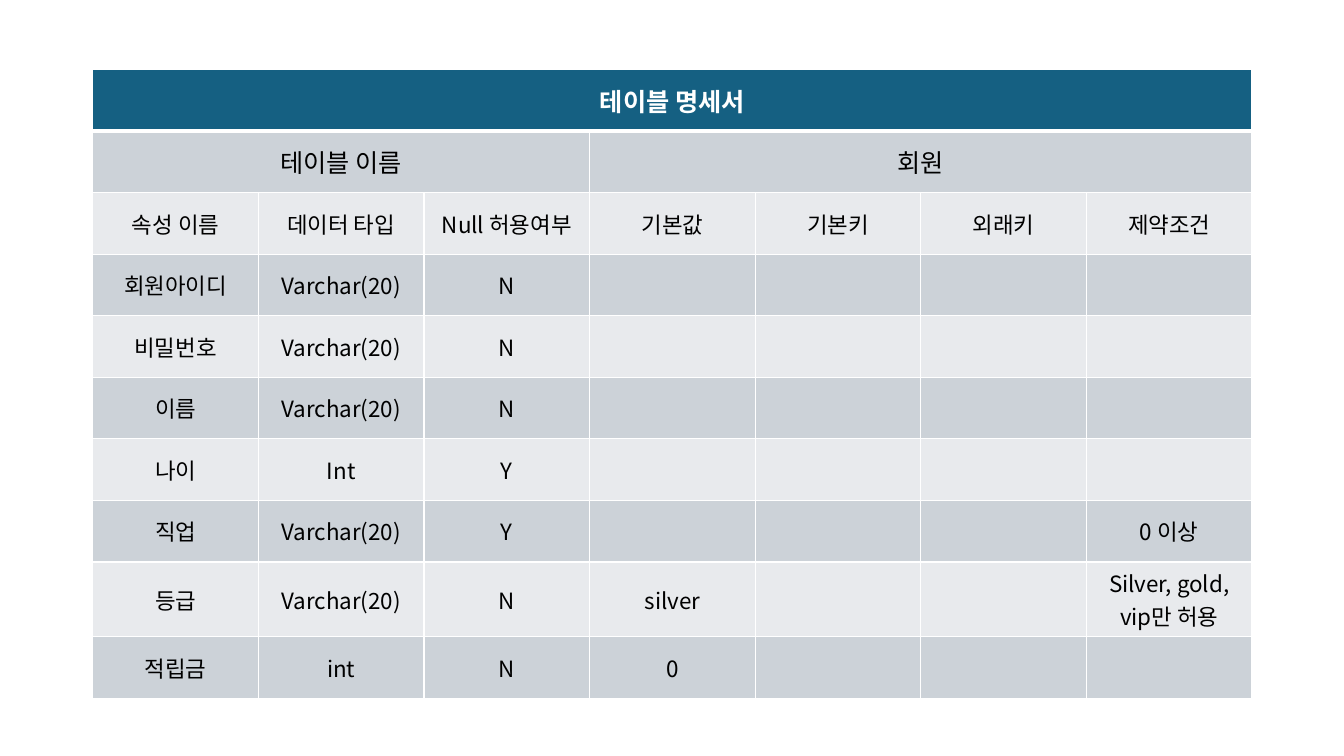
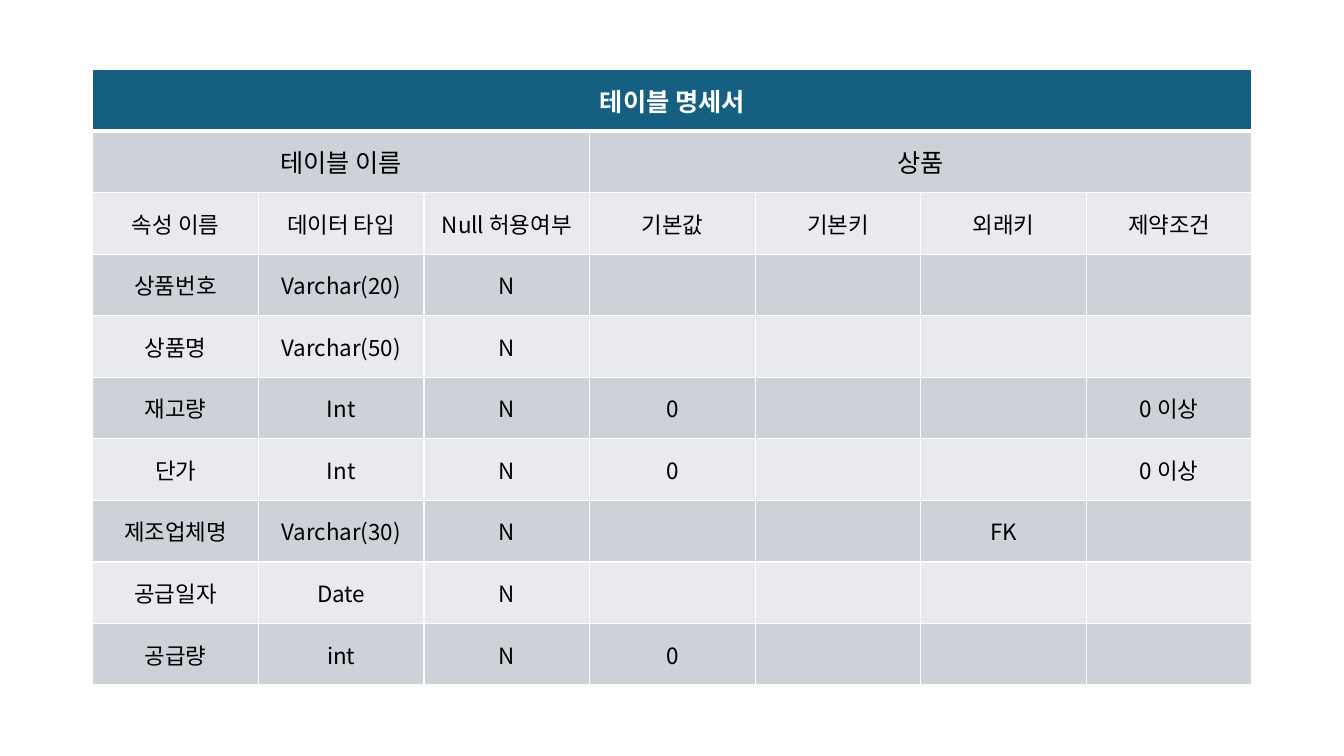
from pptx import Presentation
from pptx.dml.color import RGBColor as Rgb
from pptx.enum.text import MSO_ANCHOR as Anchor, PP_ALIGN as Align
from pptx.oxml.ns import qn
from pptx.util import Inches, Pt
from lxml.etree import SubElement as Sub

COLORS = {"head": "156082", "dark": "CCD2D8", "light": "E8EAED",
          "white": "FFFFFF", "black": "000000"}
FONT = "Noto Sans CJK KR"
TITLE = "테이블 명세서"
LABEL = "테이블 이름"
HEADS = ["속성 이름", "데이터 타입", "Null 허용여부", "기본값", "기본키", "외래키", "제약조건"]

# Each table: name and attribute rows, in the order of HEADS
TABLES = [
    ("회원", [
        ["회원아이디", "Varchar(20)", "N", "", "", "", ""],
        ["비밀번호", "Varchar(20)", "N", "", "", "", ""],
        ["이름", "Varchar(20)", "N", "", "", "", ""],
        ["나이", "Int", "Y", "", "", "", ""],
        ["직업", "Varchar(20)", "Y", "", "", "", "0 이상"],
        ["등급", "Varchar(20)", "N", "silver", "", "", "Silver, gold, vip만 허용"],
        ["적립금", "int", "N", "0", "", "", ""],
    ]),
    ("상품", [
        ["상품번호", "Varchar(20)", "N", "", "", "", ""],
        ["상품명", "Varchar(50)", "N", "", "", "", ""],
        ["재고량", "Int", "N", "0", "", "", "0 이상"],
        ["단가", "Int", "N", "0", "", "", "0 이상"],
        ["제조업체명", "Varchar(30)", "N", "", "", "FK", ""],
        ["공급일자", "Date", "N", "", "", "", ""],
        ["공급량", "int", "N", "0", "", "", ""],
    ]),
]


def style(cell, text, fill, size, color="black", bold=False, base=1):
    """Write one cell with its borders, fill and font."""
    props = cell._tc.get_or_add_tcPr()
    for side, width in (("L", 1), ("R", 1), ("T", 1), ("B", base)):
        line = Sub(props, qn(f"a:ln{side}"), w=str(Pt(width)))
        Sub(Sub(line, qn("a:solidFill")), qn("a:srgbClr"), val=COLORS["white"])
    cell.fill.solid()
    cell.fill.fore_color.rgb = Rgb.from_string(COLORS[fill])
    cell.vertical_anchor = Anchor.MIDDLE
    cell.text = text
    para = cell.text_frame.paragraphs[0]
    para.alignment = Align.CENTER
    font = para.font
    font.size, font.bold, font.name = Pt(size), bold, FONT
    font.color.rgb = Rgb.from_string(COLORS[color])
    # Korean letters take the East Asian font
    Sub(para._p.pPr.find(qn("a:defRPr")), qn("a:ea"), typeface=FONT)


prs = Presentation()
prs.slide_width, prs.slide_height = Inches(13.33), Inches(7.5)

for name, attrs in TABLES:
    slide = prs.slides.add_slide(prs.slide_layouts[6])
    rows = [[TITLE] + [""] * 6, [LABEL, "", "", name, "", "", ""], HEADS] + attrs
    grid = slide.shapes.add_table(len(rows), len(HEADS), Inches(0.92), Inches(0.69),
                                  Inches(11.5), Inches(6.11)).table

    # Title row, then alternating bands
    for r, row in enumerate(rows):
        for c, text in enumerate(row):
            if r == 0:
                style(grid.cell(r, c), text, "head", 18, "white", True, 3)
            else:
                style(grid.cell(r, c), text, "dark" if r % 2 else "light",
                      18 if r == 1 else 16)

    # Merged headings: row, first column, last column
    for r, start, end in ((0, 0, 6), (1, 0, 2), (1, 3, 6)):
        grid.cell(r, start).merge(grid.cell(r, end))

prs.save("out.pptx")
